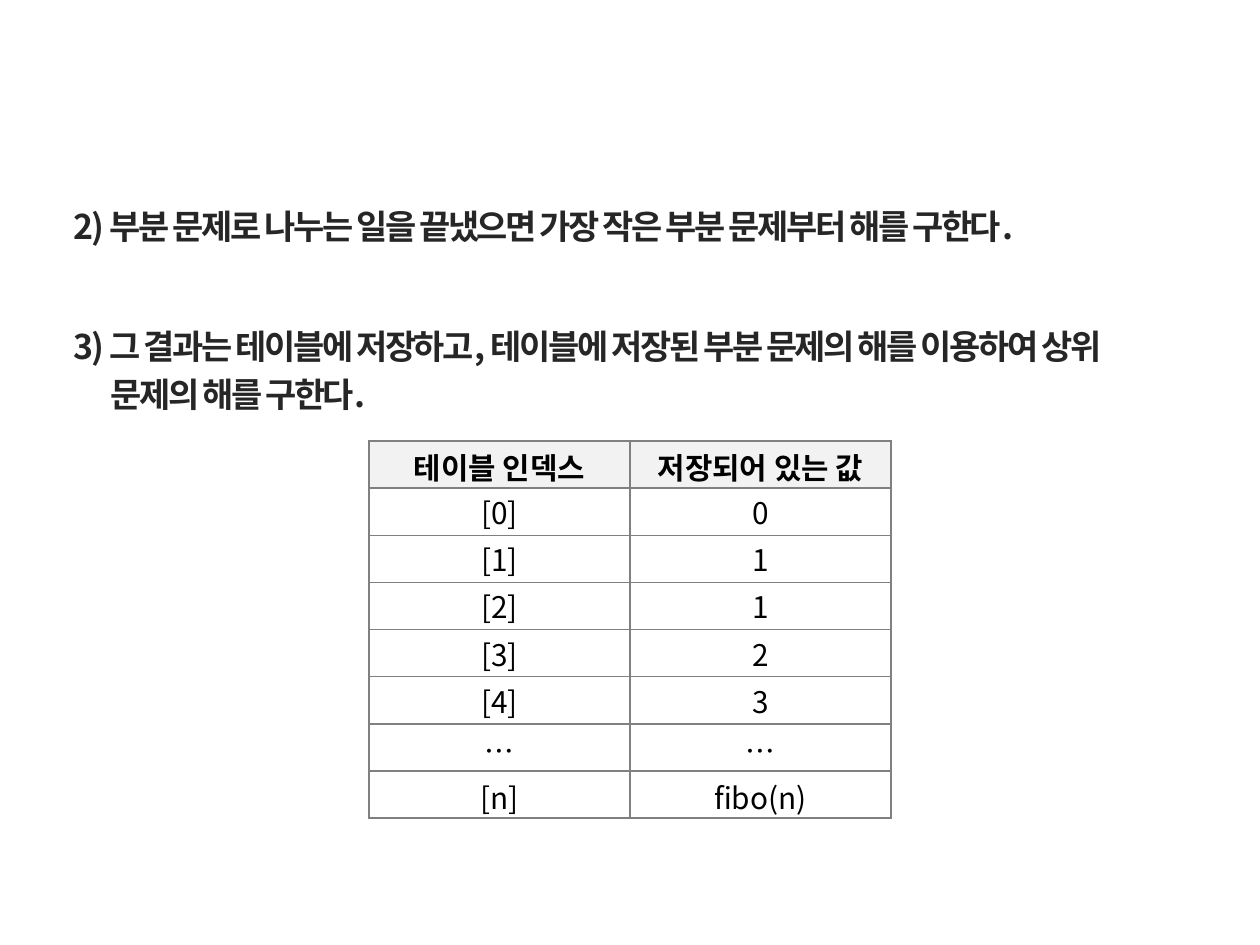
from typing import NamedTuple

from lxml.etree import SubElement
from pptx import Presentation
from pptx.dml.color import RGBColor
from pptx.enum.text import MSO_ANCHOR as Anchor, PP_ALIGN as Align
from pptx.oxml.ns import qn
from pptx.util import Cm, Pt

FONT = "Noto Sans CJK KR"
INK = RGBColor(0x26, 0x26, 0x26)
BLACK = RGBColor(0x00, 0x00, 0x00)
HEADER_FILL = RGBColor(0xF2, 0xF2, 0xF2)
GRID = RGBColor(0x80, 0x80, 0x80)


class Step(NamedTuple):
    text: str
    space_after: float = 0


class Row(NamedTuple):
    index: str
    value: str
    header: bool = False
    top: float = 0


STEPS = [
    Step("2) 부분 문제로 나누는 일을 끝냈으면 가장 작은 부분 문제부터 해를 구한다.", 41.2),
    Step("3) 그 결과는 테이블에 저장하고, 테이블에 저장된 부분 문제의 해를 "
         "이용하여 상위 문제의 해를 구한다."),
]
ROWS = [
    Row("테이블 인덱스", "저장되어 있는 값", header=True, top=0.08),
    *(Row(f"[{i}]", str(v)) for i, v in enumerate([0, 1, 1, 2, 3])),
    Row("…", "…", top=0.08),
    Row("[n]", "fibo(n)", top=0.08),
]


def style_paragraph(p, size: float, color: RGBColor, bold: bool,
                    spacing: int = 0) -> None:
    f = p.font
    f.name, f.size, f.bold = FONT, Pt(size), bold
    f.color.rgb = color
    props = p._p.get_or_add_pPr().find(qn("a:defRPr"))
    SubElement(props, qn("a:ea"), typeface=FONT)
    if spacing:
        props.set("spc", str(spacing))


def add_steps(s, steps: list[Step]) -> None:
    tf = s.shapes.add_textbox(Cm(1.24), Cm(3.81), Cm(22.86), Cm(5.97)).text_frame
    tf.word_wrap = True
    tf.margin_top = Cm(0.18)
    for i, step in enumerate(steps):
        p = tf.add_paragraph() if i else tf.paragraphs[0]
        p.text = step.text
        p.line_spacing = Pt(27.4)
        p.space_before = Pt(0)
        p.space_after = Pt(step.space_after)
        indent = Cm(0.74)
        props = p._p.get_or_add_pPr()
        props.set("marL", str(indent))
        props.set("indent", str(-indent))
        style_paragraph(p, 19.4, INK, True, -140)


def add_borders(cell) -> None:
    props = cell._tc.get_or_add_tcPr()
    for side in ("lnL", "lnR", "lnT", "lnB"):
        line = SubElement(props, qn(f"a:{side}"), w=str(Pt(1)))
        fill = SubElement(line, qn("a:solidFill"))
        SubElement(fill, qn("a:srgbClr"), val=str(GRID))


def fill_cell(cell, text: str, row: Row) -> None:
    cell.vertical_anchor = Anchor.MIDDLE
    cell.margin_left = cell.margin_right = Cm(0.18)
    cell.margin_top, cell.margin_bottom = Cm(row.top), Cm(0)
    add_borders(cell)
    if row.header:
        cell.fill.solid()
        cell.fill.fore_color.rgb = HEADER_FILL
    else:
        cell.fill.background()
    p = cell.text_frame.paragraphs[0]
    p.text = text
    p.alignment = Align.CENTER
    style_paragraph(p, 17, BLACK, row.header)


def add_memo_table(s, rows: list[Row]) -> None:
    table = s.shapes.add_table(len(rows), 2, Cm(7.44), Cm(8.89),
                               Cm(10.52), Cm(7.6)).table
    table.first_row = table.horz_banding = False
    for r, row in enumerate(rows):
        table.rows[r].height = Cm(0.95)
        for c, text in enumerate((row.index, row.value)):
            fill_cell(table.cell(r, c), text, row)


def main() -> None:
    prs = Presentation()
    prs.slide_width, prs.slide_height = Cm(25.4), Cm(19.05)
    s = prs.slides.add_slide(prs.slide_layouts[6])
    add_steps(s, STEPS)
    add_memo_table(s, ROWS)
    prs.save("out.pptx")


if __name__ == "__main__":
    main()
